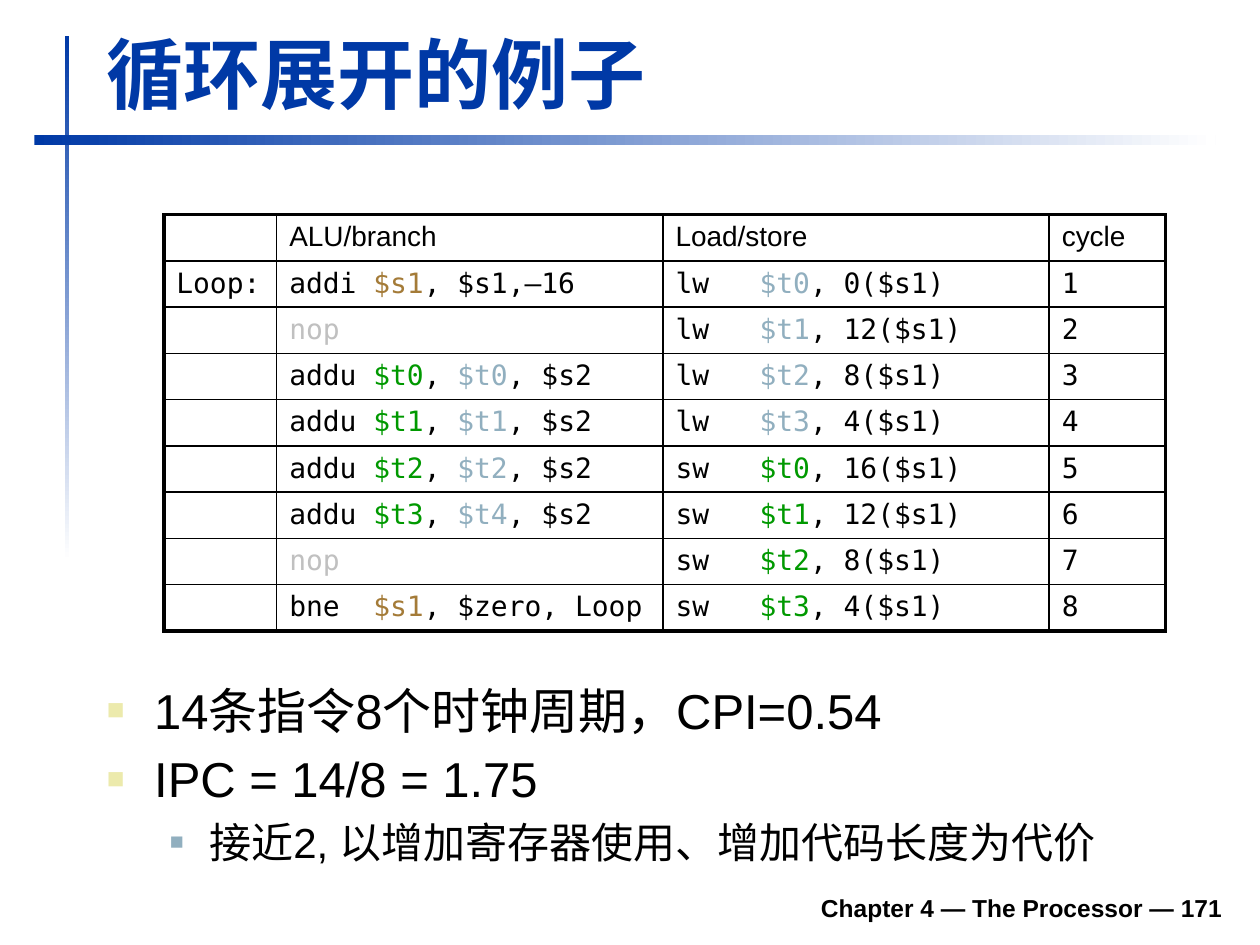
from pptx import Presentation
from pptx.dml.color import RGBColor
from pptx.enum.shapes import MSO_SHAPE
from pptx.enum.text import MSO_ANCHOR, PP_ALIGN
from pptx.util import Pt
from lxml.etree import SubElement
from pptx.oxml import parse_xml
from pptx.oxml.ns import qn, nsdecls

HUES = {"navy": "0039A6", "white": "FFFFFF", "ink": "000000", "tan": "A47B38",
        "blue": "91AFBF", "green": "009900", "gray": "C0C0C0", "cream": "ECEAAC"}
SANS, MONO = "Arial", "DejaVu Sans Mono"


def style(run, size, hue="ink", face=SANS, bold=False):
    font = run.font
    font.size, font.name, font.bold = Pt(size), face, bold
    font.color.rgb = RGBColor.from_string(HUES[hue])


def add_box(left, top, width, height, lines, anchor):
    box = slide.shapes.add_textbox(Pt(left), Pt(top), Pt(width), Pt(height))
    frame = box.text_frame
    frame.word_wrap = True
    frame.vertical_anchor = anchor
    frame.text = "\n".join(lines)
    return frame.paragraphs


deck = Presentation()
deck.slide_width, deck.slide_height = Pt(720), Pt(540)
slide = deck.slides.add_slide(deck.slide_layouts[6])

# Fading bars beside and below the title
for left, top, width, height, angle in [(36.9, 20.4, 2.6, 300, 270),
                                        (19.6, 77, 675, 6, 0)]:
    bar = slide.shapes.add_shape(MSO_SHAPE.RECTANGLE, Pt(left), Pt(top),
                                 Pt(width), Pt(height))
    bar.shadow.inherit = False
    bar.line.fill.background()
    bar.fill.gradient()
    bar.fill.gradient_angle = angle
    for stop, hue in zip(bar.fill.gradient_stops, ("navy", "white")):
        stop.color.rgb = RGBColor.from_string(HUES[hue])

# Footer and title
foot = add_box(133.2, 502.6, 572.4, 28, ["Chapter 4 — The Processor — 171"],
               MSO_ANCHOR.BOTTOM)[0]
foot.alignment = PP_ALIGN.RIGHT
style(foot.runs[0], 14, bold=True)
title = add_box(54, 11.5, 650, 60, ["循环展开的例子"], MSO_ANCHOR.BOTTOM)[0]
style(title.runs[0], 44, "navy", bold=True)

# Bulleted results: level, text size, indent, hang, bullet hue, bullet percent
points = [("14条指令8个时钟周期，CPI=0.54", 0, 28, 27, 27, "cream", 60),
          ("IPC = 14/8 = 1.75", 0, 28, 27, 27, "cream", 60),
          ("接近2, 以增加寄存器使用、增加代码长度为代价", 1, 24, 58.5, 22.5, "blue", 55)]
paras = add_box(54, 385.2, 651.6, 106, [point[0] for point in points], MSO_ANCHOR.TOP)
for i, (para, point) in enumerate(zip(paras, points)):
    _, level, size, indent, hang, hue, scale = point
    para.level = level
    props = para._p.get_or_add_pPr()
    props.set("marL", str(Pt(indent)))
    props.set("indent", str(-Pt(hang)))
    SubElement(SubElement(props, qn("a:buClr")), qn("a:srgbClr"), val=HUES[hue])
    SubElement(props, qn("a:buSzPct"), val=str(scale * 1000))
    SubElement(props, qn("a:buFont"), typeface=SANS)
    SubElement(props, qn("a:buChar"), char="■")
    if i:
        para.space_before = Pt(size * 0.2)
    style(para.runs[0], size)

# Schedule: "~" starts a new run, its hue named up to the colon
adds = [f"addu ~green:$t{a}~ink:, ~blue:$t{b}~ink:, $s2"
        for a, b in [(0, 0), (1, 1), (2, 2), (3, 4)]]
alu = ["addi ~tan:$s1~ink:, $s1,–16", "~gray:nop", *adds, "~gray:nop",
       "bne  ~tan:$s1~ink:, $zero, Loop"]
mem = [f"{op}   ~{hue}:$t{n}~ink:, {place}($s1)"
       for op, hue, first in [("lw", "blue", 0), ("sw", "green", 16)]
       for n, place in enumerate([first, 12, 8, 4])]
rows = [["", "ALU/branch", "Load/store", "cycle"]]
for i, (left, right) in enumerate(zip(alu, mem)):
    rows.append(["" if i else "Loop:", left, right, str(i + 1)])

widths = [64.5, 220.75, 220.75, 66.5]
grid = slide.shapes.add_table(len(rows), len(widths), Pt(93.6), Pt(122.7),
                              Pt(sum(widths)), Pt(26.4 * len(rows))).table
grid.first_row = grid.horz_banding = False
for col, width in zip(grid.columns, widths):
    col.width = Pt(width)

last, end = len(rows) - 1, len(widths) - 1
for r, row in enumerate(rows):
    grid.rows[r].height = Pt(26.4)
    for c, text in enumerate(row):
        cell = grid.cell(r, c)
        para = cell.text_frame.paragraphs[0]
        face = MONO if r else SANS
        for part in text.split("~"):
            hue, mark, words = part.partition(":")
            if not mark or not words:
                hue, words = "ink", part
            if words:
                run = para.add_run()
                run.text = words
                style(run, 16, hue, face)
        if not text:
            para.font.size = Pt(16)
        # Heavy outer frame, medium rule under the header
        edges = {"L": 1 if c else 2.25,
                 "R": 2.25 if c == end else 1,
                 "T": {0: 2.25, 1: 1.5}.get(r, 1),
                 "B": {0: 1.5, last: 2.25}.get(r, 1)}
        props = cell._tc.get_or_add_tcPr()
        for side, weight in edges.items():
            props.append(parse_xml(
                f'<a:ln{side} {nsdecls("a")} w="{Pt(weight)}"><a:solidFill>'
                f'<a:srgbClr val="{HUES["ink"]}"/></a:solidFill></a:ln{side}>'))
        cell.fill.background()

deck.save("out.pptx")
